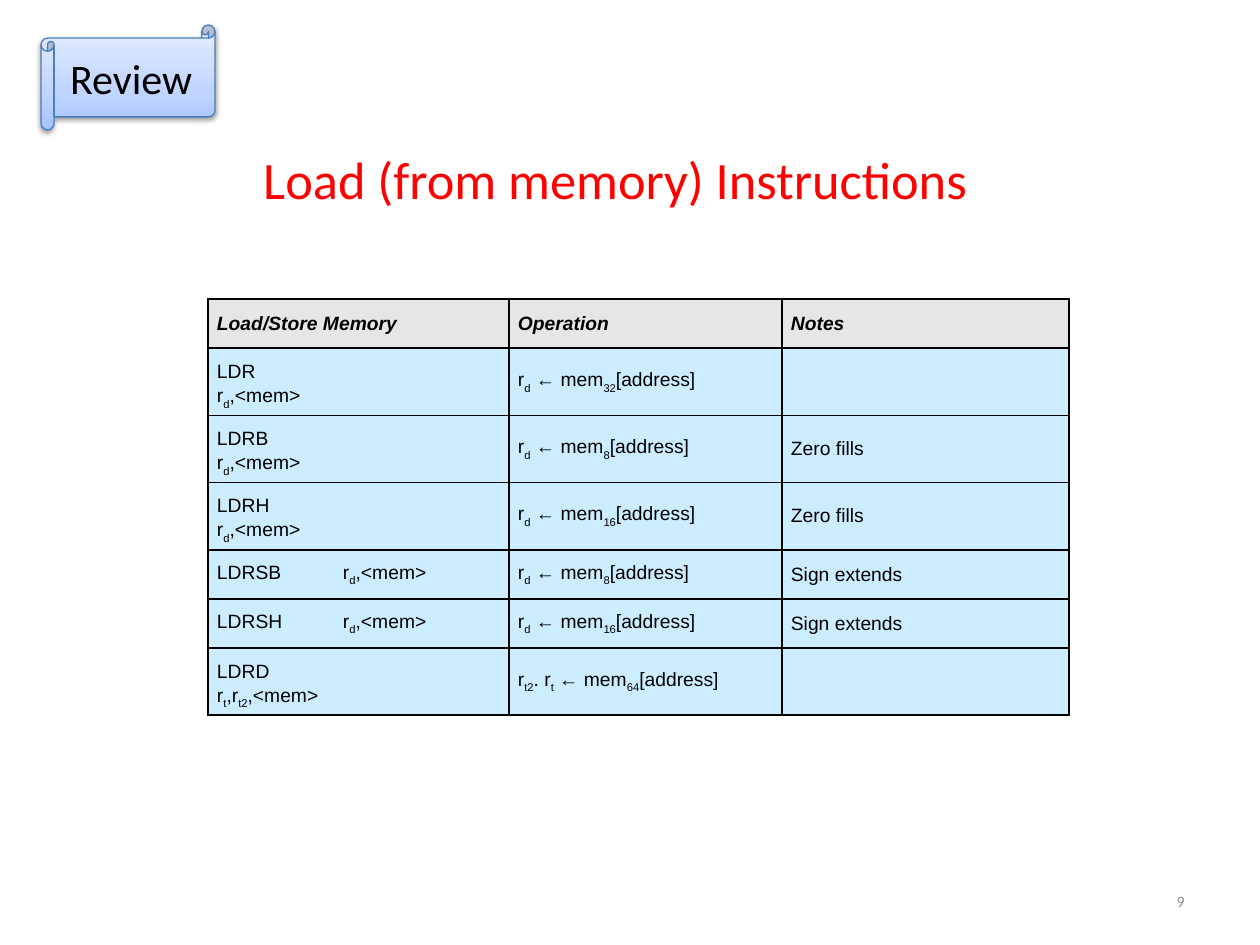
from copy import deepcopy

from lxml.etree import SubElement
from pptx import Presentation
from pptx.dml.color import RGBColor
from pptx.enum.shapes import MSO_SHAPE as SHAPE
from pptx.enum.text import MSO_ANCHOR as ANCHOR, PP_ALIGN as ALIGN
from pptx.oxml.ns import qn
from pptx.util import Emu, Pt

PX = 914400 / 126
BLACK = RGBColor(0x00, 0x00, 0x00)
RED = RGBColor(0xFF, 0x00, 0x00)
GRAY = RGBColor(0x8C, 0x8C, 0x8C)
HEADER_FILL = RGBColor(0xE6, 0xE6, 0xE6)
BODY_FILL = RGBColor(0xCC, 0xEC, 0xFF)
SCROLL_LINE = RGBColor(0x4B, 0x7E, 0xBC)
SCROLL_STOPS = [
    (0, RGBColor(0xA4, 0xC4, 0xFF)),
    (0.35, RGBColor(0xBF, 0xD4, 0xFF)),
    (1, RGBColor(0xE6, 0xEE, 0xFF)),
]

HEADERS = ["Load/Store Memory", "Operation", "Notes"]
COL_WIDTHS = [301, 273, 287]
ROW_HEIGHT = 49
TALL_ROW_HEIGHT = 66
INSTRUCTIONS = [
    ("LDR", True, "r_d_,<mem>", "r_d_ ← mem_32_[address]", ""),
    ("LDRB", True, "r_d_,<mem>", "r_d_ ← mem_8_[address]", "Zero fills"),
    ("LDRH", True, "r_d_,<mem>", "r_d_ ← mem_16_[address]", "Zero fills"),
    ("LDRSB", False, "r_d_,<mem>", "r_d_ ← mem_8_[address]", "Sign extends"),
    ("LDRSH", False, "r_d_,<mem>", "r_d_ ← mem_16_[address]", "Sign extends"),
    ("LDRD", True, "r_t_,r_t2_,<mem>", "r_t2_. r_t_ ← mem_64_[address]", ""),
]


def px(n):
    return Emu(round(n * PX))


def box(left, top, width, height):
    return px(left), px(top), px(width), px(height)


def add_run(p, text, size=11, font="Arial", color=BLACK, bold=False):
    r = p.add_run()
    r.text = text
    r.font.size = Pt(size)
    r.font.name = font
    r.font.color.rgb = color
    r.font.bold = r.font.italic = bold
    return r


def add_subscripted(p, text):
    for i, part in enumerate(text.split("_")):
        if part:
            r = add_run(p, part)
            if i % 2:
                r._r.get_or_add_rPr().set("baseline", "-30000")


def add_syntax(p, name, two_lines, operands):
    if two_lines:
        add_run(p, name)
        add_run(p, "\t", 15, "Cabin")
        p.add_line_break()
    else:
        add_run(p, name + "\t")
    add_subscripted(p, operands)


def write_line(tf, text, size, color, align):
    tf.vertical_anchor = ANCHOR.MIDDLE
    p = tf.paragraphs[0]
    p.alignment = align
    add_run(p, text, size, "Calibri", color)


def add_title(slide, text):
    sp = slide.shapes.title
    sp.left, sp.top, sp.width, sp.height = box(127, 101, 977, 156)
    write_line(sp.text_frame, text, 30, RED, ALIGN.CENTER)


def add_page_number(slide, text):
    sp = slide.shapes.add_textbox(*box(903, 876, 294, 50))
    sp.text_frame.word_wrap = True
    write_line(sp.text_frame, text, 9, GRAY, ALIGN.RIGHT)


def add_shadow(sp):
    sp.shadow.inherit = False
    effects = sp._element.spPr.find(qn("a:effectLst"))
    shadow = SubElement(effects, qn("a:outerShdw"), blurRad=str(Pt(3.1)),
                        dist=str(Pt(1.6)), dir="5400000", rotWithShape="0")
    color = SubElement(shadow, qn("a:srgbClr"), val=str(BLACK))
    SubElement(color, qn("a:alpha"), val="38000")


def add_scroll(slide, text):
    sp = slide.shapes.add_shape(SHAPE.HORIZONTAL_SCROLL, *box(41, 25, 174, 105))
    sp.fill.gradient()
    sp.fill.gradient_angle = 90
    stops = sp._element.spPr.find(".//" + qn("a:gsLst"))
    stops.append(deepcopy(stops[0]))
    for stop, (position, color) in zip(sp.fill.gradient_stops, SCROLL_STOPS):
        stop.position = position
        stop.color.rgb = color
    sp.line.color.rgb = SCROLL_LINE
    sp.line.width = Pt(0.75)
    add_shadow(sp)
    sp.text_frame.word_wrap = False
    write_line(sp.text_frame, text, 24, BLACK, ALIGN.CENTER)


def add_borders(cell):
    tcPr = cell._tc.get_or_add_tcPr()
    for i, side in enumerate(("lnL", "lnR", "lnT", "lnB")):
        ln = tcPr.makeelement(qn("a:" + side), {"w": str(Pt(1))})
        fill = SubElement(ln, qn("a:solidFill"))
        SubElement(fill, qn("a:srgbClr"), val=str(BLACK))
        tcPr.insert(i, ln)


def format_cell(cell, color):
    cell.fill.solid()
    cell.fill.fore_color.rgb = color
    cell.vertical_anchor = ANCHOR.MIDDLE
    cell.margin_left = cell.margin_right = px(9)
    cell.margin_top = cell.margin_bottom = px(5)
    add_borders(cell)
    return cell.text_frame.paragraphs[0]


def add_instruction_table(slide):
    heights = [ROW_HEIGHT] + [
        TALL_ROW_HEIGHT if two_lines else ROW_HEIGHT
        for _, two_lines, *_ in INSTRUCTIONS]
    shape = slide.shapes.add_table(
        len(heights), len(HEADERS),
        *box(208, 299, sum(COL_WIDTHS), sum(heights)))
    table = shape.table
    table.first_row = table.horz_banding = False
    for col, width in zip(table.columns, COL_WIDTHS):
        col.width = px(width)
    for row, height in zip(table.rows, heights):
        row.height = px(height)
    for c, header in enumerate(HEADERS):
        add_run(format_cell(table.cell(0, c), HEADER_FILL), header, bold=True)
    for n, (name, two_lines, operands, operation, note) in enumerate(INSTRUCTIONS, 1):
        syntax_p, operation_p, note_p = (
            format_cell(table.cell(n, c), BODY_FILL) for c in range(len(HEADERS)))
        add_syntax(syntax_p, name, two_lines, operands)
        add_subscripted(operation_p, operation)
        add_subscripted(note_p, note)


def main():
    prs = Presentation()
    prs.slide_width, prs.slide_height = px(1260), px(945)
    slide = prs.slides.add_slide(prs.slide_layouts[5])
    add_title(slide, "Load (from memory) Instructions")
    add_instruction_table(slide)
    add_page_number(slide, "9")
    add_scroll(slide, "Review")
    prs.save("out.pptx")


if __name__ == "__main__":
    main()
